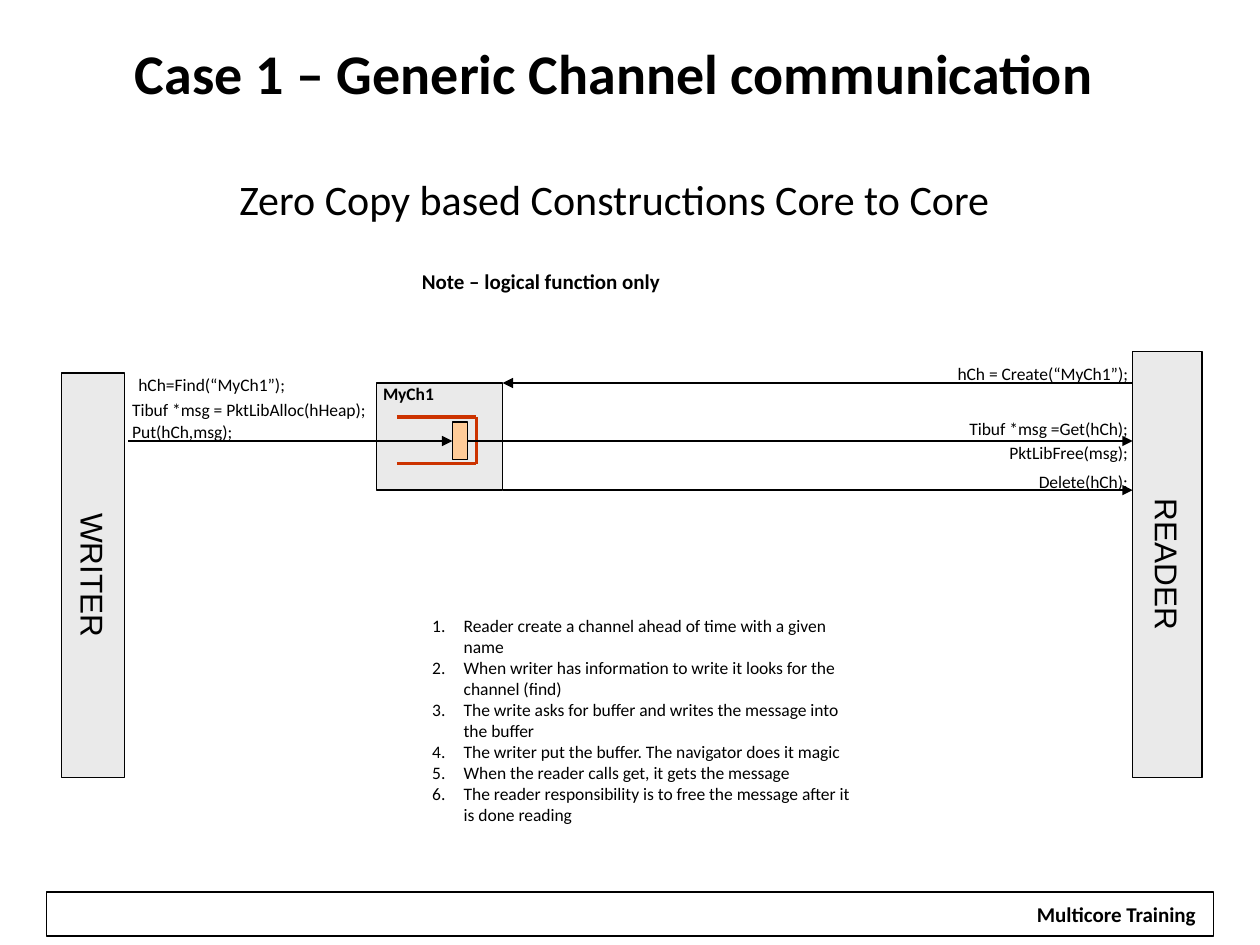
from dataclasses import dataclass
from typing import Optional

from lxml.etree import SubElement as add_node
from pptx import Presentation as Deck
from pptx.dml.color import RGBColor as Rgb
from pptx.enum.shapes import MSO_CONNECTOR as Link, MSO_SHAPE as Form
from pptx.enum.text import MSO_ANCHOR as Anchor, MSO_AUTO_SIZE as Fit, PP_ALIGN as Align
from pptx.oxml.ns import qn
from pptx.util import Emu, Pt

SCALE = 9144
BLACK, WHITE, GRAY, PEACH, RED = "000000", "FFFFFF", "EAEAEA", "FFCC99", "CC3300"
LEFT, MID, RIGHT = Align.LEFT, Align.CENTER, Align.RIGHT
TOP = Anchor.TOP


@dataclass
class Box:
    """A rectangle with its fill and line."""
    x: int
    y: int
    w: int
    h: int
    fill: Optional[str] = GRAY
    edge: Optional[str] = BLACK


@dataclass
class Wire:
    """A straight line between two points."""
    x1: int
    y1: int
    x2: int
    y2: int
    color: str = BLACK
    width: float = 0.75
    arrow: bool = True


@dataclass
class Label:
    """A text box with one line of text."""
    x: int
    y: int
    w: int
    text: str
    align: Align = LEFT
    size: int = 10
    bold: bool = False
    h: int = 27


def px(n: int) -> Emu:
    """Turn px into EMU."""
    return Emu(n * SCALE)


def paint(color, tone: str) -> None:
    """Set a colour from a hex string."""
    color.rgb = Rgb.from_string(tone)


def write(frame, *lines: str, size=10, bold=False, font="Calibri", align=LEFT,
          anchor=TOP, wrap=True, inset=(10, 5), gap=0, listed=False) -> None:
    """Add lines of text to a frame."""
    frame.auto_size = Fit.NONE
    frame.word_wrap = wrap
    frame.vertical_anchor = anchor
    frame.margin_left = frame.margin_right = px(inset[0])
    frame.margin_top = frame.margin_bottom = px(inset[1])
    for text in lines:
        para = frame.add_paragraph() if frame.text else frame.paragraphs[0]
        para.alignment = align
        para.space_before = Pt(gap)
        run = para.add_run()
        run.text = text
        run.font.name, run.font.size, run.font.bold = font, Pt(size), bold
        paint(run.font.color, BLACK)
        if listed:
            props = para._p.get_or_add_pPr()
            props.set("marL", str(px(25)))
            props.set("indent", str(px(-25)))
            add_node(props, qn("a:buFont"), typeface=font)
            add_node(props, qn("a:buAutoNum"), type="arabicPeriod")


def draw_box(shapes, box: Box):
    """Draw a rectangle."""
    rect = shapes.add_shape(Form.RECTANGLE, px(box.x), px(box.y), px(box.w), px(box.h))
    rect.shadow.inherit = False
    for part, tone in ((rect.fill, box.fill), (rect.line.fill, box.edge)):
        if tone:
            part.solid()
            paint(part.fore_color, tone)
        else:
            part.background()
    if box.edge:
        rect.line.width = Pt(0.75)
    return rect


def draw_wire(shapes, wire: Wire):
    """Draw a line, with an arrowhead if asked."""
    line = shapes.add_connector(Link.STRAIGHT, px(wire.x1), px(wire.y1),
                                px(wire.x2), px(wire.y2))
    paint(line.line.color, wire.color)
    line.line.width = Pt(wire.width)
    props = line.element.spPr
    if wire.arrow:
        add_node(props.find(qn("a:ln")), qn("a:tailEnd"), type="triangle")
    add_node(props, qn("a:effectLst"))
    return line


def draw_label(shapes, label: Label) -> None:
    """Draw a text box."""
    text = shapes.add_textbox(px(label.x), px(label.y), px(label.w), px(label.h))
    write(text.text_frame, label.text, size=label.size, bold=label.bold, align=label.align)


def draw_core(shapes, box: Box, name: str) -> None:
    """Draw a core with its name running down."""
    core = draw_box(shapes, box)
    write(core.text_frame, name, size=18, font="Arial", align=MID,
          anchor=Anchor.MIDDLE, wrap=False, inset=(0, 0))
    core.element.txBody.bodyPr.set("vert", "vert")


def place(shape, x: int, y: int, w: int, h: int):
    """Move a placeholder and return its text frame."""
    shape.left, shape.top, shape.width, shape.height = map(px, (x, y, w, h))
    return shape.text_frame


STEPS = (
    "Reader create a channel ahead of time with a given name",
    "When writer has information to write it looks for the channel (find)",
    "The write asks for buffer and writes the message into the buffer",
    "The writer put the buffer. The navigator does it magic",
    "When the reader calls get, it gets the message",
    "The reader responsibility is to free the message after it is done reading",
)
LABELS = (
    Label(95, 329, 125, "Put(hCh,msg);"),
    Label(95, 312, 233, "Tibuf *msg = PktLibAlloc(hHeap);"),
    Label(100, 292, 167, "hCh=Find(“MyCh1”);"),
    Label(763, 346, 142, "PktLibFree(msg);", RIGHT),
    Label(730, 327, 175, "Tibuf *msg =Get(hCh);", RIGHT),
    Label(720, 283, 185, "hCh = Create(“MyCh1”);", RIGHT),
    Label(803, 369, 102, "Delete(hCh);", RIGHT),
    Label(325, 208, 383, "Note – logical function only", LEFT, 12, True, 30),
)
QUEUE = ((315, 331, 378, 331), (315, 368, 378, 368), (378, 368, 378, 331))


def main() -> None:
    """Build the slide and save it."""
    deck = Deck()
    deck.slide_width, deck.slide_height = px(1000), px(750)
    slide = deck.slides.add_slide(deck.slide_layouts[1])
    shapes = slide.shapes

    draw_box(shapes, Box(37, 708, 926, 35, None))
    foot = draw_box(shapes, Box(812, 711, 148, 30, WHITE, None))
    write(foot.text_frame, "Multicore Training", size=12, bold=True, align=MID, wrap=False)

    head = place(shapes.title, 25, 16, 925, 176)
    form = {"align": MID, "anchor": Anchor.MIDDLE}
    write(head, "Case 1 – Generic Channel communication", size=32, bold=True, **form)
    write(head, "Zero Copy based Constructions Core to Core", size=24, gap=39, **form)
    steps = place(slide.placeholders[1], 333, 483, 358, 178)
    write(steps, *STEPS, listed=True)

    draw_core(shapes, Box(899, 279, 55, 338), "READER")
    draw_core(shapes, Box(49, 296, 50, 321), "WRITER")
    channel = draw_box(shapes, Box(299, 304, 100, 85))
    write(channel.text_frame, "MyCh1", bold=True, wrap=False, inset=(5, 0))

    put = draw_wire(shapes, Wire(102, 350, 359, 350))
    buffer = draw_box(shapes, Box(359, 335, 12, 30, PEACH))
    put.end_connect(buffer, 1)
    queue = shapes.add_group_shape()
    for ends in QUEUE:
        draw_wire(queue.shapes, Wire(*ends, RED, 2, False))
    get = draw_wire(shapes, Wire(371, 350, 899, 350))
    get.begin_connect(buffer, 3)
    draw_wire(shapes, Wire(899, 304, 399, 304))
    draw_wire(shapes, Wire(399, 389, 899, 389))
    for label in LABELS:
        draw_label(shapes, label)
    deck.save("out.pptx")


if __name__ == "__main__":
    main()
